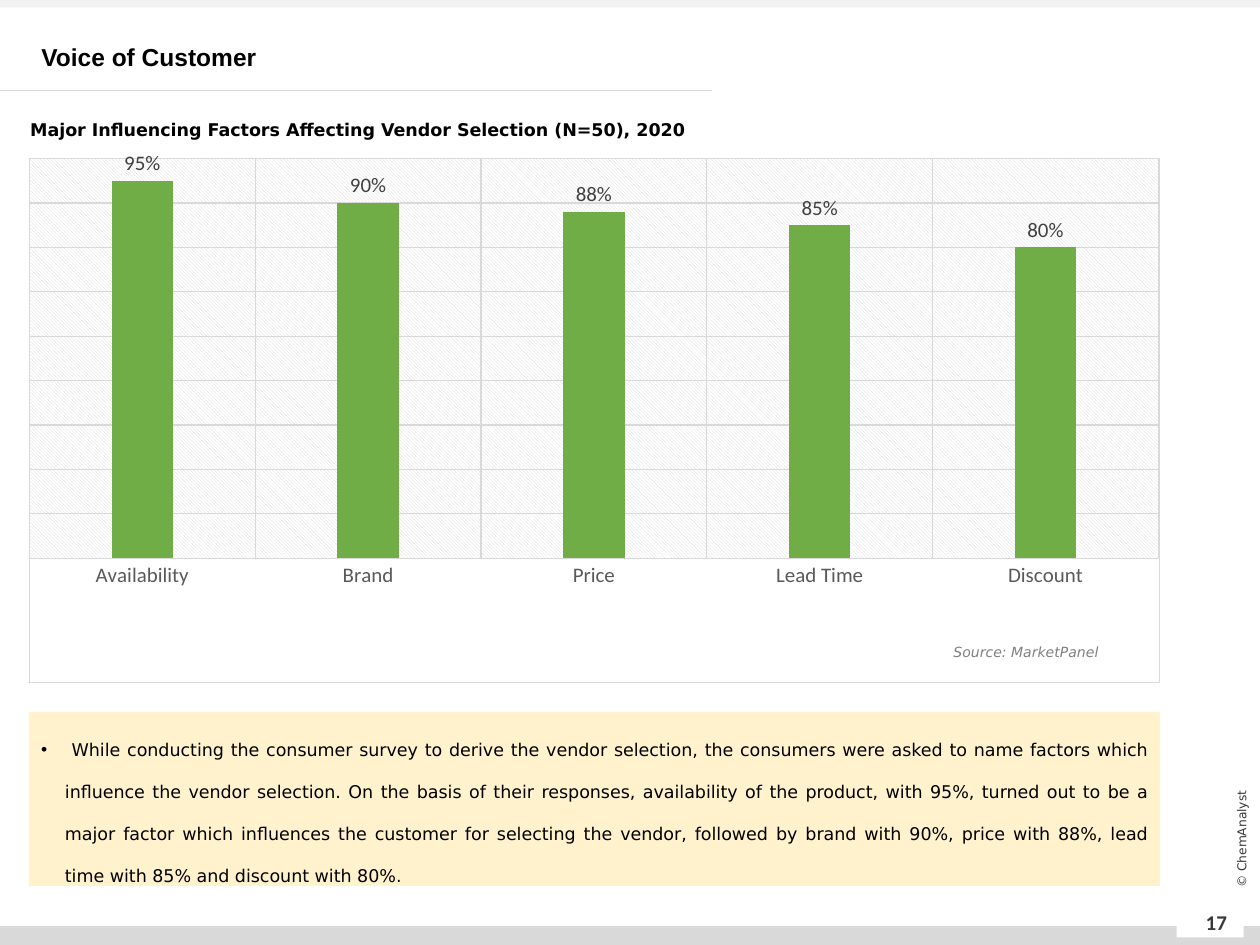
import dataclasses

import lxml.etree
import pptx
import pptx.chart.data
import pptx.dml.color
import pptx.enum.chart
import pptx.enum.shapes
import pptx.enum.text
import pptx.oxml
import pptx.oxml.ns
import pptx.util

Cm, Pt = pptx.util.Cm, pptx.util.Pt
RGB = pptx.dml.color.RGBColor
ALIGN = pptx.enum.text.PP_ALIGN
ANCHOR = pptx.enum.text.MSO_ANCHOR
RECTANGLE = pptx.enum.shapes.MSO_SHAPE.RECTANGLE

BLACK = RGB(0x00, 0x00, 0x00)
WHITE = RGB(0xFF, 0xFF, 0xFF)
PALE_GREY = RGB(0xF2, 0xF2, 0xF2)
RULE_GREY = RGB(0xD9, 0xD9, 0xD9)
SOURCE_GREY = RGB(0x80, 0x80, 0x80)
AXIS_GREY = RGB(0x59, 0x59, 0x59)
LABEL_GREY = RGB(0x40, 0x40, 0x40)
FOOTER_GREY = RGB(0x3B, 0x38, 0x38)
CREAM = RGB(0xFF, 0xF2, 0xCC)
GREEN = RGB(0x70, 0xAD, 0x47)

BODY_FONT = "DejaVu Sans"
CHART_FONT = "Calibri"
SHARES = {"Availability": 0.95, "Brand": 0.90, "Price": 0.88, "Lead Time": 0.85, "Discount": 0.80}
NOTE = (
    " While conducting the consumer survey to derive the vendor selection, the consumers were "
    "asked to name factors which influence the vendor selection. On the basis of their responses, "
    "availability of the product, with 95%, turned out to be a major factor which influences the "
    "customer for selecting the vendor, followed by brand with 90%, price with 88%, lead time "
    "with 85% and discount with 80%."
)


@dataclasses.dataclass
class Box:
    """A rectangle in centimetres."""
    left: float
    top: float
    width: float
    height: float

    def lengths(self):
        return [Cm(value) for value in dataclasses.astuple(self)]

    def inner(self, left, top, width, height):
        return Box(self.left + left, self.top + top, width, height)


def set_values(target, **values):
    for name, value in values.items():
        setattr(target, name, value)


def set_font(font, size, color, name=BODY_FONT, **values):
    set_values(font, size=Pt(size), name=name, **values)
    font.color.rgb = color


def set_line(line, width=0.75):
    line.color.rgb = RULE_GREY
    line.width = Pt(width)


def write(shape, text, font, anchor=ANCHOR.TOP, **layout):
    """Put one formatted paragraph in a shape and return the paragraph."""
    frame = shape.text_frame
    set_values(frame, word_wrap=True, vertical_anchor=anchor,
               auto_size=pptx.enum.text.MSO_AUTO_SIZE.NONE)
    para = frame.paragraphs[0]
    set_values(para, **layout)
    span = para.add_run()
    span.text = text
    set_font(span.font, **font)
    return para


def add_text(page, box, text, font, **layout):
    shape = page.shapes.add_textbox(*box.lengths())
    write(shape, text, font, **layout)
    return shape


def add_panel(page, box, color):
    panel = page.shapes.add_shape(RECTANGLE, *box.lengths())
    panel.shadow.inherit = False
    panel.fill.solid()
    panel.fill.fore_color.rgb = color
    panel.line.fill.background()
    return panel


def add_frame(page, box):
    """Draw the top and bottom bars, page number and copyright line."""
    add_panel(page, box.inner(0, box.height - 0.38, box.width, 0.38), RULE_GREY)
    add_panel(page, box.inner(0, 0, box.width, 0.15), PALE_GREY)
    add_panel(page, box.inner(23.72, 18.34, 1.35, 0.56), WHITE)
    centred = {"anchor": ANCHOR.MIDDLE, "alignment": ALIGN.CENTER}
    add_text(page, box.inner(23.9, 18.08, 1.24, 1.02), "17",
             {"size": 12, "color": FOOTER_GREY, "name": CHART_FONT, "bold": True}, **centred)
    notice = add_text(page, box.inner(23.5, 16.71, 3.05, 0.41), "© ChemAnalyst",
                      {"size": 7, "color": FOOTER_GREY}, **centred)
    notice.rotation = 270


def add_heading(page, box):
    """Place the title, the rule below it and the chart heading."""
    title = page.shapes.title
    names = ("left", "top", "width", "height")
    set_values(title, **dict(zip(names, box.inner(0.58, 0.51, 21.82, 1.27).lengths())))
    write(title, "Voice of Customer",
          {"size": 14, "color": BLACK, "name": "Arial", "bold": True},
          anchor=ANCHOR.MIDDLE, alignment=ALIGN.LEFT, line_spacing=Pt(17))

    rule_top = Cm(box.top + 1.83)
    rule = page.shapes.add_connector(pptx.enum.shapes.MSO_CONNECTOR.STRAIGHT,
                                     Cm(box.left), rule_top, Cm(box.left + 14.35), rule_top)
    set_line(rule.line, 0.5)
    lxml.etree.SubElement(rule._element.spPr, pptx.oxml.ns.qn("a:effectLst"))

    add_text(page, box.inner(0.36, 2.06, 14.4, 0.81),
             "Major Influencing Factors Affecting Vendor Selection (N=50), 2020",
             {"size": 10, "color": BLACK, "bold": True}, line_spacing=1.5)


def style_chart_areas(chart):
    """Set the plot position, its hatching and the chart's border by XML."""
    spaces = pptx.oxml.ns.nsdecls("c", "a")
    solid = '<a:solidFill><a:srgbClr val="{}"/></a:solidFill>'
    plot_area = chart._chartSpace.chart.plotArea
    for old in plot_area.findall(pptx.oxml.ns.qn("c:layout")):
        plot_area.remove(old)
    places = {"x": 0, "y": 0, "w": 0.999, "h": 0.763}
    modes = "".join(f'<c:{key}Mode val="edge"/>' for key in "xy")
    sizes = "".join(f'<c:{key} val="{value}"/>' for key, value in places.items())
    plot_area.insert(0, pptx.oxml.parse_xml(
        f'<c:layout {spaces}><c:manualLayout><c:layoutTarget val="inner"/>'
        f'{modes}{sizes}</c:manualLayout></c:layout>'))
    plot_area.append(pptx.oxml.parse_xml(
        f'<c:spPr {spaces}><a:pattFill prst="ltDnDiag">'
        f'<a:fgClr><a:srgbClr val="{RULE_GREY}"/></a:fgClr>'
        f'<a:bgClr><a:srgbClr val="{WHITE}"/></a:bgClr></a:pattFill></c:spPr>'))
    chart._chartSpace.chart.addnext(pptx.oxml.parse_xml(
        f'<c:spPr {spaces}>{solid.format(WHITE)}'
        f'<a:ln w="{Pt(0.75)}">{solid.format(RULE_GREY)}</a:ln></c:spPr>'))


def add_factor_chart(page, box):
    data = pptx.chart.data.CategoryChartData(number_format="0%")
    data.categories = list(SHARES)
    data.add_series("Series 1", list(SHARES.values()))
    kind = pptx.enum.chart.XL_CHART_TYPE.COLUMN_CLUSTERED
    chart = page.shapes.add_chart(kind, *box.lengths(), data).chart
    set_values(chart, has_title=False, has_legend=False)
    set_font(chart.font, 10, BLACK, CHART_FONT)

    no_tick = pptx.enum.chart.XL_TICK_MARK.NONE
    for axis in (chart.category_axis, chart.value_axis):
        set_values(axis, has_major_gridlines=True, major_tick_mark=no_tick, minor_tick_mark=no_tick)
        set_line(axis.major_gridlines.format.line)
    set_line(chart.category_axis.format.line)
    set_font(chart.category_axis.tick_labels.font, 12, AXIS_GREY, CHART_FONT)
    set_values(chart.value_axis, visible=False, minimum_scale=0.1, maximum_scale=1, major_unit=0.1)

    plot = chart.plots[0]
    set_values(plot, gap_width=267, overlap=-43, vary_by_categories=False, has_data_labels=True)
    set_values(plot.data_labels, show_value=True, number_format="0%",
               number_format_is_linked=False,
               position=pptx.enum.chart.XL_LABEL_POSITION.OUTSIDE_END)
    set_font(plot.data_labels.font, 12, LABEL_GREY, CHART_FONT)
    fill = plot.series[0].format.fill
    fill.solid()
    fill.fore_color.rgb = GREEN
    style_chart_areas(chart)

    add_text(page, box.inner(15.7, 9.8, 6.12, 0.61), "Source: MarketPanel",
             {"size": 8, "color": SOURCE_GREY, "italic": True}, alignment=ALIGN.RIGHT)


def add_note(page, box):
    panel = add_panel(page, box, CREAM)
    para = write(panel, NOTE, {"size": 10, "color": BLACK},
                 alignment=ALIGN.JUSTIFY, line_spacing=2.0)
    settings = para._p.get_or_add_pPr()
    indent = Cm(0.48)
    settings.set("marL", str(indent))
    settings.set("indent", str(-indent))
    for tag, name, value in (("a:buFont", "typeface", "Arial"), ("a:buChar", "char", "•")):
        lxml.etree.SubElement(settings, pptx.oxml.ns.qn(tag)).set(name, value)


def main():
    deck = pptx.Presentation()
    sheet = Box(0, 0, 25.4, 19.05)
    set_values(deck, slide_width=Cm(sheet.width), slide_height=Cm(sheet.height))
    page = deck.slides.add_slide(deck.slide_layouts.get_by_name("Title Only"))
    add_frame(page, sheet)
    add_heading(page, sheet)
    add_note(page, sheet.inner(0.58, 14.35, 22.81, 3.51))
    add_factor_chart(page, sheet.inner(0.58, 3.05, 22.81, 10.72))
    deck.save("out.pptx")


if __name__ == "__main__":
    main()
